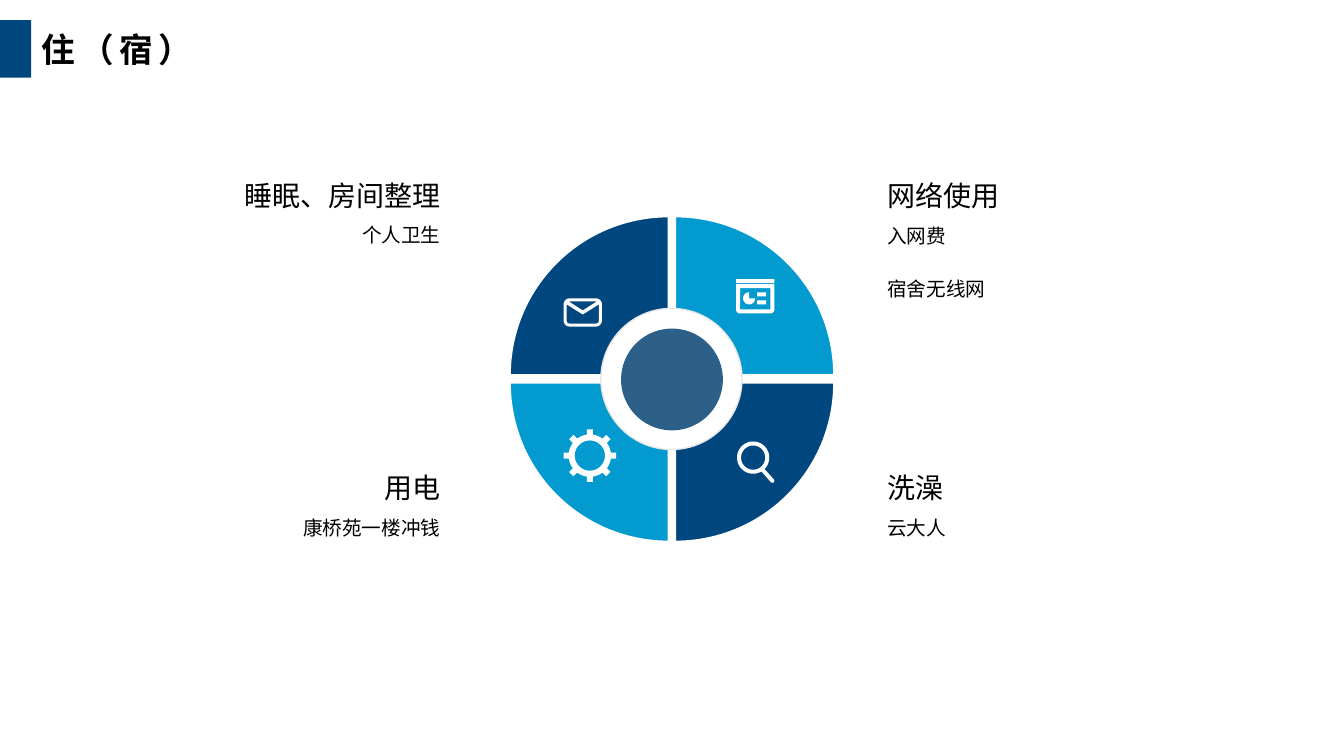
from dataclasses import dataclass
from math import cos, radians, sin

from lxml import etree
from pptx import Presentation
from pptx.dml.color import RGBColor
from pptx.enum.shapes import MSO_SHAPE
from pptx.enum.text import MSO_ANCHOR, MSO_AUTO_SIZE, PP_ALIGN
from pptx.oxml.ns import qn
from pptx.util import Inches, Pt

WEDGE, OVAL, RECT = MSO_SHAPE.PIE_WEDGE, MSO_SHAPE.OVAL, MSO_SHAPE.RECTANGLE
LEFT, RIGHT = PP_ALIGN.LEFT, PP_ALIGN.RIGHT
TOP, MIDDLE = MSO_ANCHOR.TOP, MSO_ANCHOR.MIDDLE
FIXED = MSO_AUTO_SIZE.NONE

Point = tuple[float, float]
Path = list[Point]


@dataclass(frozen=True)
class Theme:
    navy: str = "00467F"
    sky: str = "039ACF"
    steel: str = "2C6089"
    white: str = "FFFFFF"
    gray: str = "E7E6E6"
    black: str = "000000"
    font: str = "Noto Sans CJK SC"
    title: float = 24
    head: float = 20
    note: float = 14


@dataclass(frozen=True)
class Form:
    kind: MSO_SHAPE
    left: float
    top: float
    width: float
    height: float
    fill: str
    line: str = ""
    turn: float = 0


@dataclass(frozen=True)
class Topic:
    head: str
    notes: list[str]
    left: float
    top: float
    width: float
    align: PP_ALIGN


THEME = Theme()


# Paint and text
def paint(shape, fill: str, line: str = "") -> None:
    shape.shadow.inherit = False
    shape.fill.solid()
    shape.fill.fore_color.rgb = RGBColor.from_string(fill)
    if line:
        shape.line.color.rgb = RGBColor.from_string(line)
        shape.line.width = Pt(1)
    else:
        shape.line.fill.background()


def place(shape, left: float, top: float, width: float, height: float) -> None:
    box = {"left": left, "top": top, "width": width, "height": height}
    for name, value in box.items():
        setattr(shape, name, Inches(value))


def write(shape, lines: list[str], size: float, align: PP_ALIGN,
          anchor: MSO_ANCHOR = TOP, bold: bool = False,
          lead: float = 1, gap: float = 0, track: int = 0) -> None:
    frame = shape.text_frame
    for name, value in {"word_wrap": True, "auto_size": FIXED,
                        "vertical_anchor": anchor}.items():
        setattr(frame, name, value)
    style = {"name": THEME.font, "size": Pt(size), "bold": bold}
    for i, line in enumerate(lines):
        para = frame.add_paragraph() if i else frame.paragraphs[0]
        look = {"alignment": align, "line_spacing": lead,
                "space_before": Pt(gap if i else 0), "space_after": Pt(0)}
        for name, value in look.items():
            setattr(para, name, value)
        if shape.is_placeholder:
            props = para._p.get_or_add_pPr()
            props.set("marL", "0")
            props.set("indent", "0")
            etree.SubElement(props, qn("a:buNone"))
        run = para.add_run()
        run.text = line
        for name, value in style.items():
            setattr(run.font, name, value)
        run.font.color.rgb = RGBColor.from_string(THEME.black)
        props = run._r.get_or_add_rPr()
        etree.SubElement(props, qn("a:ea")).set("typeface", THEME.font)
        if track:
            props.set("spc", str(track))


# Outlines for the icons
def arc(x: float, y: float, r: float, start: float = 0,
        end: float = 360, steps: int = 48) -> Path:
    turns = [radians(start + (end - start) * i / steps) for i in range(steps + 1)]
    return [(x + r * cos(t), y + r * sin(t)) for t in turns]


def block(x: float, y: float, w: float, h: float) -> Path:
    return [(x, y), (x + w, y), (x + w, y + h), (x, y + h)]


def round_box(x: float, y: float, w: float, h: float, r: float) -> Path:
    spots = block(x + r, y + r, w - 2 * r, h - 2 * r)
    return [p for i, (a, b) in enumerate(spots)
            for p in arc(a, b, r, 180 + 90 * i, 270 + 90 * i, 8)]


def gear(x: float, y: float, r: float, tip: float, half: float) -> Path:
    path: Path = []
    for turn in range(0, 360, 45):
        c, s = cos(radians(turn)), sin(radians(turn))
        path += [(x + a * c - b * s, y + a * s + b * c)
                 for a, b in ((r, -half), (tip, -half), (tip, half), (r, half))]
        path += arc(x, y, r, turn + 10, turn + 35, 6)
    return path


def draw_icon(slide, paths: list[Path]) -> None:
    pen = None
    for path in paths:
        spots = [(Inches(x), Inches(y)) for x, y in path]
        if pen is None:
            pen = slide.shapes.build_freeform(*spots[0])
        else:
            pen.move_to(*spots[0])
        pen.add_line_segments(spots[1:], close=True)
    paint(pen.convert_to_shape(), THEME.white)


def draw_form(slide, form: Form) -> None:
    shape = slide.shapes.add_shape(form.kind, 0, 0, 0, 0)
    place(shape, form.left, form.top, form.width, form.height)
    shape.rotation = form.turn
    paint(shape, form.fill, form.line)


def draw_topic(slide, topic: Topic) -> None:
    if len(topic.notes) > 1:
        note = slide.placeholders[1]
    else:
        note = slide.shapes.add_textbox(0, 0, 0, 0)
    place(note, topic.left, topic.top + 0.33, topic.width, 1.13)
    write(note, topic.notes, THEME.note, topic.align, lead=1.5, gap=13.3)
    head = slide.shapes.add_textbox(0, 0, 0, 0)
    place(head, topic.left, topic.top, topic.width, 0.44)
    write(head, [topic.head], THEME.head, topic.align)


# Slide content
WEST, EAST, NORTH, SOUTH = 5.06, 6.7, 2.15, 3.8
FORMS = [
    Form(WEDGE, x, y, 1.57, 1.57, THEME.sky if i % 2 else THEME.navy,
         THEME.white, 90 * i)
    for i, (x, y) in enumerate([(WEST, NORTH), (EAST, NORTH),
                                (EAST, SOUTH), (WEST, SOUTH)])
] + [
    Form(OVAL, 5.96, 3.06, 1.4, 1.4, THEME.white, THEME.gray),
    Form(OVAL, 6.16, 3.26, 1.01, 1.01, THEME.steel),
    Form(RECT, 0, 0.2, 0.31, 0.57, THEME.navy),
]
CHART_PAGE = [
    [(7.3, 2.82), (7.68, 2.82)] + arc(7.64, 3.07, 0.04, 0, 90, 8)
    + arc(7.34, 3.07, 0.04, 90, 180, 8),
    block(7.34, 2.86, 0.3, 0.21),
    [(7.43, 2.96)] + arc(7.43, 2.96, 0.06, 0, 270),
    block(7.51, 2.9, 0.09, 0.04),
    block(7.51, 2.98, 0.09, 0.04),
    block(7.3, 2.77, 0.38, 0.04),
]
LENS = [
    arc(7.47, 4.54, 0.16, 59, 405) + [(7.67, 4.75)]
    + arc(7.66, 4.77, 0.02, -45, 135, 8),
    arc(7.47, 4.54, 0.12),
]
MAIL = [
    round_box(5.59, 2.96, 0.38, 0.28, 0.06),
    [(5.64, 2.99), (5.92, 2.99), (5.78, 3.08)],
    [(5.62, 3.02), (5.78, 3.12), (5.94, 3.02)]
    + arc(5.91, 3.18, 0.03, 0, 90, 8) + arc(5.65, 3.18, 0.03, 90, 180, 8),
]
COG = [gear(5.85, 4.52, 0.21, 0.26, 0.03), arc(5.85, 4.52, 0.15)]
TOPICS = [
    Topic("睡眠、房间整理", ["个人卫生"], 0.43, 1.72, 4.04, RIGHT),
    Topic("用电", ["康桥苑一楼冲钱"], 0.43, 4.62, 4.04, RIGHT),
    Topic("网络使用", ["入网费", "宿舍无线网"], 8.7, 1.72, 3.81, LEFT),
    Topic("洗澡", ["云大人"], 8.7, 4.62, 3.81, LEFT),
]


def main() -> None:
    deck = Presentation()
    deck.slide_width, deck.slide_height = Inches(13.33), Inches(7.5)
    slide = deck.slides.add_slide(deck.slide_layouts[1])
    title = slide.shapes.title
    place(title, 0.31, 0.2, 13.02, 0.57)
    write(title, ["住（宿）"], THEME.title, LEFT, MIDDLE, bold=True, track=400)
    for form in FORMS:
        draw_form(slide, form)
    for icon in (CHART_PAGE, LENS, MAIL, COG):
        draw_icon(slide, icon)
    for topic in TOPICS:
        draw_topic(slide, topic)
    deck.save("out.pptx")


if __name__ == "__main__":
    main()
